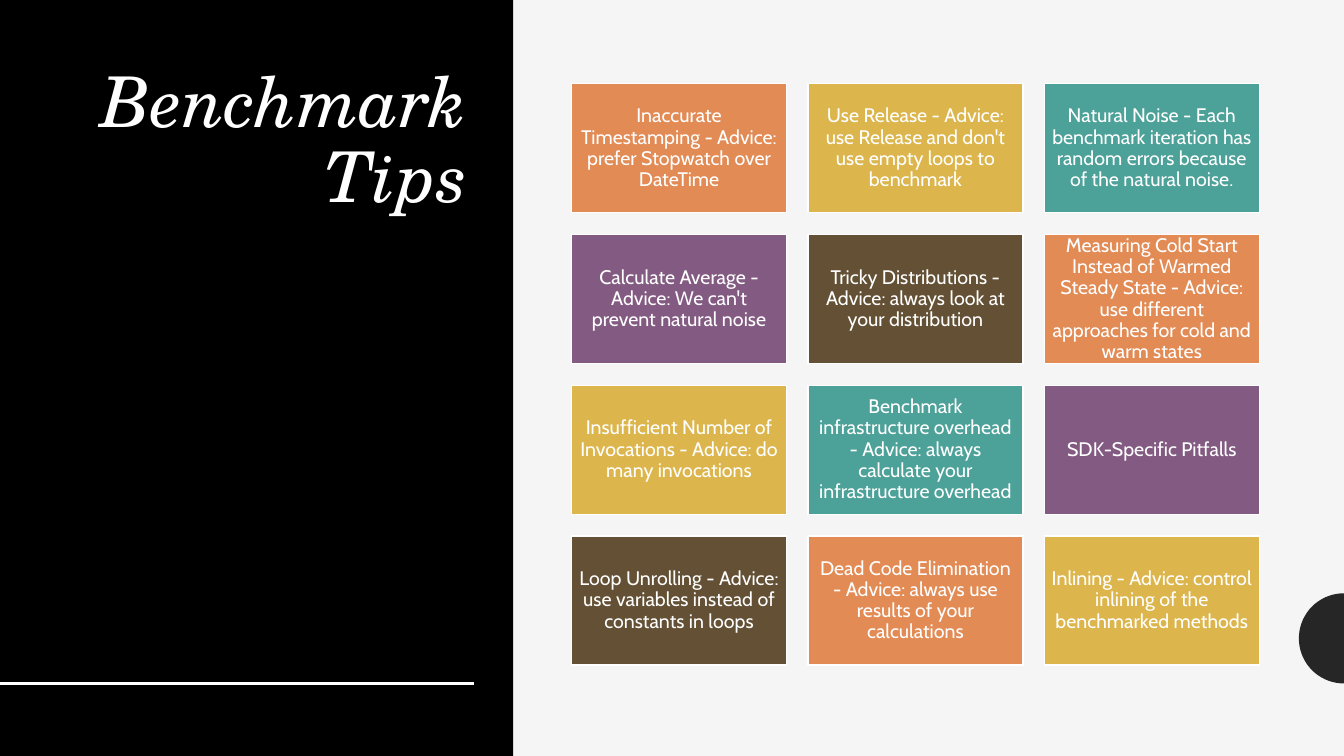
import itertools
import math
from dataclasses import dataclass
from typing import Any

import pptx
import pptx.dml.color
import pptx.enum.shapes
import pptx.enum.text
import pptx.oxml.ns
import pptx.util
from lxml import etree

Pt = pptx.util.Pt
ALIGN = pptx.enum.text.PP_ALIGN
ANCHOR = pptx.enum.text.MSO_ANCHOR
SLIDE_W, SLIDE_H = 960, 540
COLUMNS = 3
CARD_LEFT, CARD_TOP = 408.3, 59.8
CARD_W, CARD_H = 153.5, 92.2
PITCH_X, PITCH_Y = 168.85, 107.7
PALETTE = ("E28B55", "DCB64D", "4CA198", "835B82", "645135")
TIPS = (
    "Inaccurate Timestamping - Advice: prefer Stopwatch over DateTime",
    "Use Release - Advice: use Release and don't use empty loops to benchmark",
    "Natural Noise - Each benchmark iteration has random errors because of the natural noise.",
    "Calculate Average - Advice: We can't prevent natural noise",
    "Tricky Distributions - Advice: always look at your distribution",
    "Measuring Cold Start Instead of Warmed Steady State - Advice: "
    "use different approaches for cold and warm states",
    "Insufficient Number of Invocations - Advice: do many invocations",
    "Benchmark infrastructure overhead - Advice: always calculate your infrastructure overhead",
    "SDK-Specific Pitfalls",
    "Loop Unrolling - Advice: use variables instead of constants in loops",
    "Dead Code Elimination - Advice: always use results of your calculations",
    "Inlining - Advice: control inlining of the benchmarked methods",
)


@dataclass
class Box:
    left: float
    top: float
    width: float
    height: float
    fill: str
    line: str = ""
    text: str = ""


def rgb(value: str) -> pptx.dml.color.RGBColor:
    return pptx.dml.color.RGBColor.from_string(value)


def set_all(obj: Any, values: dict[str, Any]) -> None:
    for name, value in values.items():
        setattr(obj, name, value)


def paint(sp: Any, fill: str, line: str = "") -> None:
    sp.shadow.inherit = False
    sp.fill.solid()
    sp.fill.fore_color.rgb = rgb(fill)
    if line:
        sp.line.color.rgb = rgb(line)
        sp.line.width = Pt(1)
    else:
        sp.line.fill.background()


def write(sp: Any, text: str, frame: dict[str, Any], font: dict[str, Any], align: Any) -> None:
    tf = sp.text_frame
    set_all(tf, {"word_wrap": True, "auto_size": pptx.enum.text.MSO_AUTO_SIZE.NONE, **frame})
    p = tf.paragraphs[0]
    set_all(p, {"alignment": align, "line_spacing": 0.9})
    r = p.add_run()
    r.text = text
    set_all(r.font, font)
    r.font.color.rgb = rgb("FFFFFF")


def add_box(s: Any, box: Box) -> Any:
    sp = s.shapes.add_shape(pptx.enum.shapes.MSO_SHAPE.RECTANGLE, Pt(box.left), Pt(box.top),
                            Pt(box.width), Pt(box.height))
    paint(sp, box.fill, box.line)
    if box.text:
        margins = {f"margin_{side}": Pt(4.2) for side in ("left", "top", "right", "bottom")}
        write(sp, box.text, {"vertical_anchor": ANCHOR.MIDDLE, **margins},
              {"name": "Cabin", "size": Pt(14)}, ALIGN.CENTER)
    return sp


def add_half_disc(s: Any, cx: float, cy: float, radius: float) -> None:
    angles = [math.radians(a) for a in range(90, 271, 5)]
    points = [(Pt(cx + radius * math.cos(a)), Pt(cy + radius * math.sin(a))) for a in angles]
    builder = s.shapes.build_freeform(*points[0])
    builder.add_line_segments(points[1:], close=True)
    paint(builder.convert_to_shape(), "262626")


def add_rule(s: Any, right: float, y: float) -> None:
    rule = s.shapes.add_connector(pptx.enum.shapes.MSO_CONNECTOR.STRAIGHT,
                                  Pt(0), Pt(y), Pt(right), Pt(y))
    rule.line.color.rgb = rgb("FFFFFF")
    rule.line.width = Pt(2)
    etree.SubElement(rule.element.spPr, pptx.oxml.ns.qn("a:effectLst"))


def main() -> None:
    prs = pptx.Presentation()
    set_all(prs, {"slide_width": Pt(SLIDE_W), "slide_height": Pt(SLIDE_H)})
    s = prs.slides.add_slide(prs.slide_layouts[5])
    s.background.fill.solid()
    s.background.fill.fore_color.rgb = rgb("F5F5F5")

    # Edge ornament and dark panel
    add_half_disc(s, SLIDE_W, 456, 32.2)
    panel = add_box(s, Box(0, 0, 366.5, SLIDE_H, "000000"))

    # Title, raised above the panel
    title = s.shapes.title
    panel.element.addnext(title.element)
    set_all(title, {"left": Pt(60), "top": Pt(44), "width": Pt(281.2), "height": Pt(390)})
    write(title, "Benchmark Tips", {"vertical_anchor": ANCHOR.TOP},
          {"name": "TeX Gyre Schola", "size": Pt(50), "italic": True}, ALIGN.RIGHT)
    add_rule(s, 338.4, 488.2)

    # Grid of tips
    for i, (tip, fill) in enumerate(zip(TIPS, itertools.cycle(PALETTE))):
        row, col = divmod(i, COLUMNS)
        add_box(s, Box(CARD_LEFT + col * PITCH_X, CARD_TOP + row * PITCH_Y,
                       CARD_W, CARD_H, fill, "FFFFFF", tip))

    prs.save("out.pptx")


if __name__ == "__main__":
    main()
